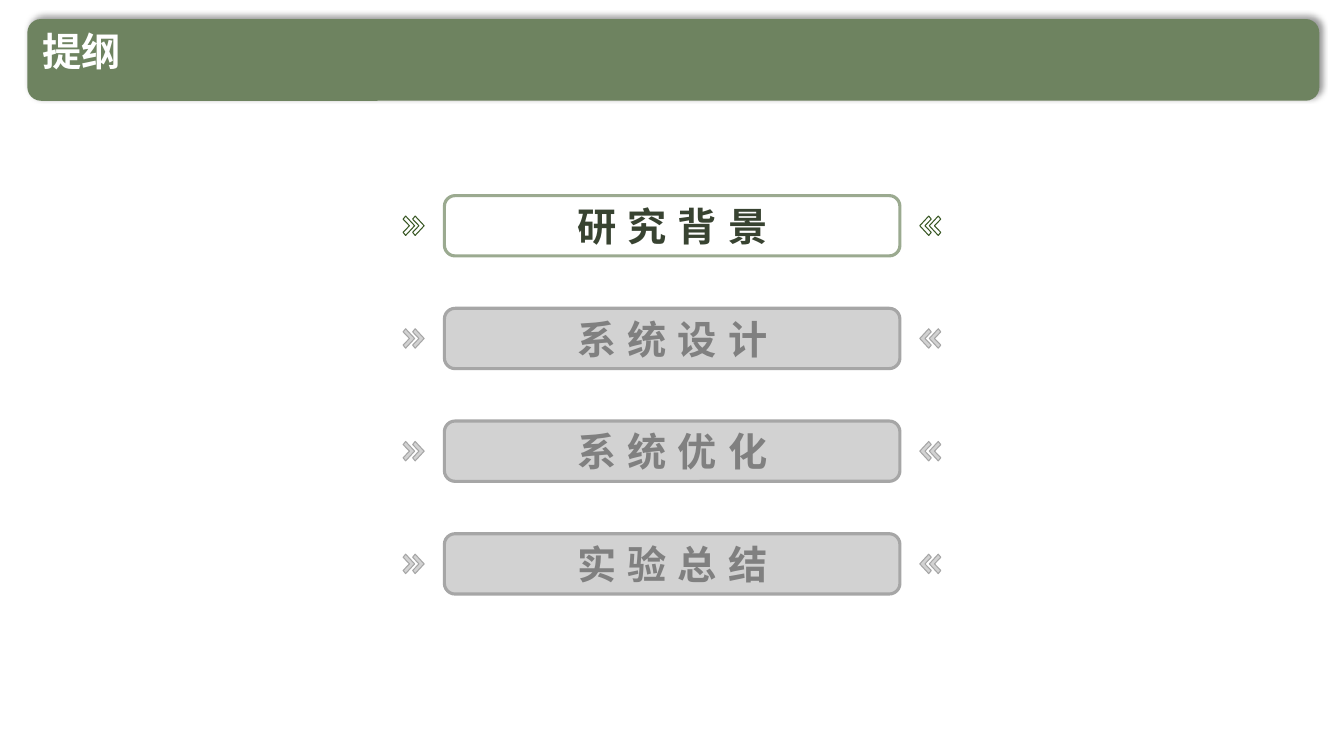
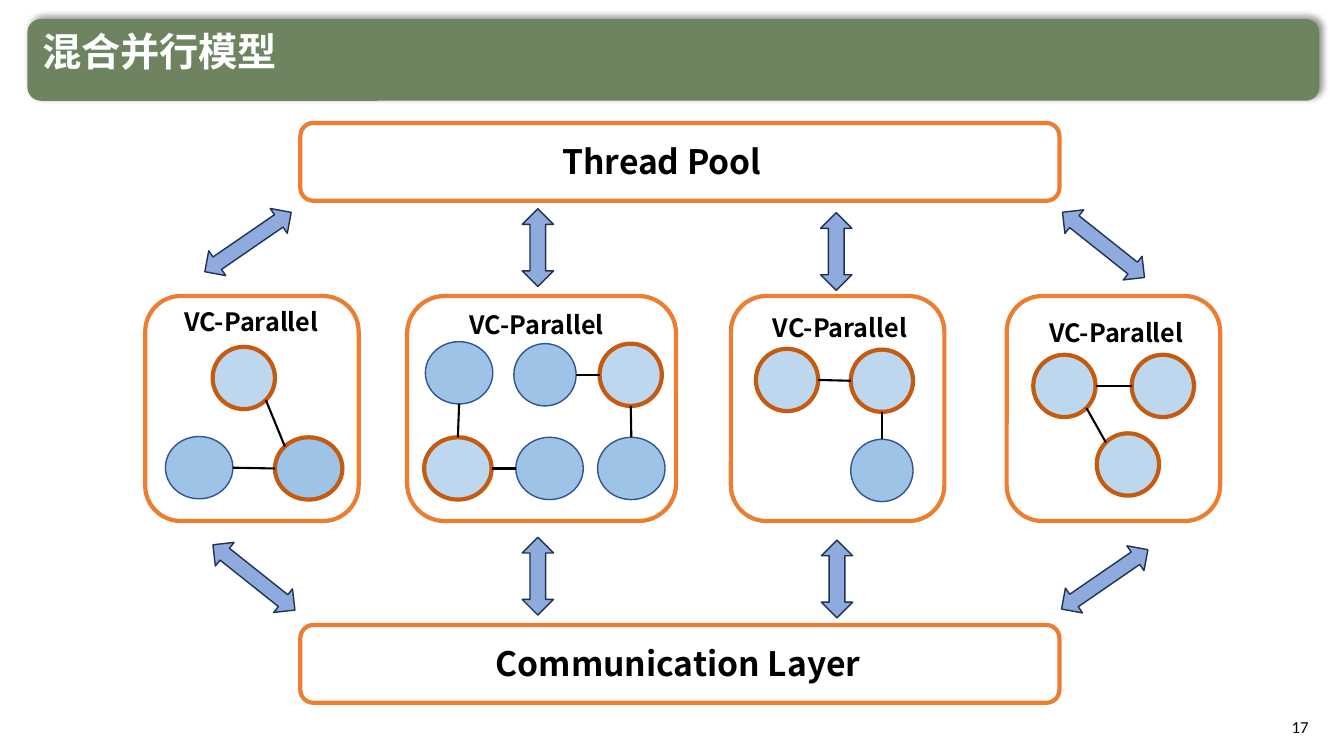
import math

import lxml.etree
import pptx
import pptx.dml.color
import pptx.enum.shapes
import pptx.enum.text
import pptx.oxml
import pptx.oxml.ns
import pptx.util

Cm = pptx.util.Cm
Pt = pptx.util.Pt
RGBColor = pptx.dml.color.RGBColor
SHAPE = pptx.enum.shapes.MSO_SHAPE
ALIGN = pptx.enum.text.PP_ALIGN
ANCHOR = pptx.enum.text.MSO_ANCHOR
qn = pptx.oxml.ns.qn

CJK_FONT = "Noto Sans CJK SC"
PAGE_FONT = "Calibri"

WHITE = RGBColor(0xFF, 0xFF, 0xFF)
BLACK = RGBColor(0, 0, 0)
BAND_GREEN = RGBColor(0x6E, 0x83, 0x60)
SOFT_GREEN = RGBColor(0x9B, 0xAA, 0x90)
DARK_GREEN = RGBColor(0x38, 0x43, 0x31)
CHEVRON_GREEN = RGBColor(0x38, 0x57, 0x23)
GREY = RGBColor(0xA6, 0xA6, 0xA6)
TEXT_GREY = RGBColor(0x80, 0x80, 0x80)
ORANGE = RGBColor(0xED, 0x7D, 0x31)
DARK_ORANGE = RGBColor(0xC5, 0x5A, 0x11)
PALE_BLUE = RGBColor(0xBD, 0xD7, 0xEE)
SKY_BLUE = RGBColor(0x9D, 0xC3, 0xE6)
NODE_EDGE = RGBColor(0x32, 0x54, 0x91)
ARROW_BLUE = RGBColor(0x8F, 0xAA, 0xDC)
ARROW_EDGE = RGBColor(0x1E, 0x32, 0x56)

SLIDE_W, SLIDE_H = 33.87, 19.05

# Outline slide (all lengths in centimetres)
OUTLINE_TITLE = "提纲"
SECTIONS = ["研究背景", "系统设计", "系统优化", "实验总结"]
CURRENT_SECTION = 0
SECTION_BOX = (11.2, 4.93, 11.48, 1.52)
SECTION_PITCH = 2.84
CHEVRON_W, CHEVRON_H = 0.29, 0.49
CHEVRON_LEFTS = (10.16, 10.4)
CHEVRON_OUTLINE = [(0.22, 0), (0, 0.16), (0.55, 0.5), (0, 0.84), (0.22, 1), (1, 0.5)]

# Model slide
MODEL_TITLE = "混合并行模型"
MODEL_PAGE = "17"
LAYER_LEFT, LAYER_W, LAYER_H = 7.57, 19.13, 1.96
LAYERS = [  # text, box top, text left, text width
    ("Thread Pool", 3.1, 13.92, 6.02),
    ("Communication Layer", 15.75, 12.24, 10.01),
]
PANEL_LABEL = "VC-Parallel"
PANEL_TOP, PANEL_H = 7.46, 5.67
NODE_H, WIDE = 1.57, 1.7
NODE_STYLES = {  # fill, line, line width
    "pale": (PALE_BLUE, DARK_ORANGE, 3),
    "plain": (SKY_BLUE, NODE_EDGE, 1),
    "marked": (SKY_BLUE, DARK_ORANGE, 3),
}
COMPASS = ["E", "SE", "S", "SW", "W", "NW", "N", "NE"]
PANELS = [  # nodes: left, top, width, style; edges: node, side, node, side
    {
        "left": 3.66, "width": 5.38, "label": (4.39, 7.59),
        "nodes": {
            "a": (5.36, 8.74, NODE_H, "pale"),
            "b": (4.17, 11.0, WIDE, "plain"),
            "c": (6.93, 11.02, WIDE, "marked"),
        },
        "edges": [("a", "SE", "c", "NW"), ("b", "E", "c", "W")],
    },
    {
        "left": 10.26, "width": 6.78, "label": (11.58, 7.67),
        "nodes": {
            "a": (10.72, 8.61, WIDE, "plain"),
            "b": (12.95, 8.66, NODE_H, "plain"),
            "c": (15.11, 8.66, NODE_H, "pale"),
            "d": (10.69, 11.02, WIDE, "pale"),
            "e": (13.0, 11.02, WIDE, "plain"),
            "f": (15.06, 11.02, WIDE, "plain"),
        },
        "edges": [("a", "S", "d", "N"), ("d", "E", "e", "W"),
                  ("b", "E", "c", "W"), ("c", "S", "f", "N")],
    },
    {
        "left": 18.42, "width": 5.38, "label": (19.23, 7.75),
        "nodes": {
            "a": (19.05, 8.79, NODE_H, "pale"),
            "b": (21.44, 8.81, NODE_H, "pale"),
            "c": (21.44, 11.07, NODE_H, "plain"),
        },
        "edges": [("a", "E", "b", "W"), ("b", "S", "c", "N")],
    },
    {
        "left": 25.37, "width": 5.38, "label": (26.19, 7.87),
        "nodes": {
            "a": (26.04, 8.94, NODE_H, "pale"),
            "b": (28.52, 8.94, NODE_H, "pale"),
            "c": (27.64, 10.92, NODE_H, "pale"),
        },
        "edges": [("a", "E", "b", "W"), ("a", "SE", "c", "NW")],
    },
]
UPRIGHT, SLANTED = (0.79, 1.96), (0.76, 2.64)
ARROWS = [  # left, top, size, rotation
    (5.87, 4.78, SLANTED, 55.5),
    (13.16, 5.26, UPRIGHT, 0),
    (20.68, 5.36, UPRIGHT, 0),
    (27.43, 4.85, SLANTED, 308.5),
    (6.02, 13.23, SLANTED, 308.5),
    (13.16, 13.54, UPRIGHT, 0),
    (20.7, 13.61, UPRIGHT, 0),
    (27.46, 13.28, SLANTED, 55.5),
]


def paint(shape, fill=None, line=None, width=1, alpha=None):
    """Set fill, outline and fill opacity (percent); None means no fill or line."""
    shape.shadow.inherit = False
    if fill is None:
        shape.fill.background()
    else:
        shape.fill.solid()
        shape.fill.fore_color.rgb = fill
        if alpha is not None:
            color = shape.fill._xPr.find(qn("a:solidFill"))[0]
            lxml.etree.SubElement(color, qn("a:alpha"), val=str(alpha * 1000))
    if line is None:
        shape.line.fill.background()
    else:
        shape.line.color.rgb = line
        shape.line.width = Pt(width)


def add_shape(slide, kind, box, **look):
    shape = slide.shapes.add_shape(kind, *map(Cm, box))
    paint(shape, **look)
    return shape


def write(shape, text, size=18, color=BLACK, bold=True, font=CJK_FONT,
          align=ALIGN.LEFT, anchor=ANCHOR.TOP, tracking=0, line_spacing=None):
    """Fill a shape with one paragraph; tracking is letter spacing in points."""
    frame = shape.text_frame
    frame.word_wrap = True
    frame.vertical_anchor = anchor
    paragraph = frame.paragraphs[0]
    paragraph.alignment = align
    if line_spacing:
        paragraph.line_spacing = line_spacing
    run = paragraph.add_run()
    run.text = text
    run.font.size = Pt(size)
    run.font.bold = bold
    run.font.color.rgb = color
    run.font.name = font
    properties = run._r.get_or_add_rPr()
    lxml.etree.SubElement(properties, qn("a:ea"), typeface=font)
    if tracking:
        properties.set("spc", str(tracking * 100))


def add_text(slide, box, text, **text_format):
    write(slide.shapes.add_textbox(*map(Cm, box)), text, **text_format)


def add_titled_slide(deck, title):
    slide = deck.slides.add_slide(deck.slide_layouts[6])
    band = add_shape(slide, SHAPE.ROUNDED_RECTANGLE, (0.69, 0.48, 32.56, 2.06),
                     fill=BAND_GREEN)
    effects = band._element.spPr.find(qn("a:effectLst"))
    shadow = lxml.etree.SubElement(
        effects, qn("a:outerShdw"), blurRad=str(Pt(4)), dist=str(Pt(3)),
        dir=str(315 * 60000), algn="bl", rotWithShape="0")
    color = lxml.etree.SubElement(shadow, qn("a:srgbClr"), val="000000")
    lxml.etree.SubElement(color, qn("a:alpha"), val="40000")
    add_text(slide, (0.81, 0.71, 28.12, 1.57), title, size=28, color=WHITE,
             line_spacing=0.9)
    return slide


def add_chevron(slide, left, top, mirrored, **look):
    """Draw a thin chevron; a mirrored one is reflected in the slide's centre line."""
    points = []
    for across, down in CHEVRON_OUTLINE:
        x = left + across * CHEVRON_W
        points.append((Cm(SLIDE_W - x if mirrored else x), Cm(top + down * CHEVRON_H)))
    builder = slide.shapes.build_freeform(*points[0])
    builder.add_line_segments(points[1:], close=True)
    paint(builder.convert_to_shape(), **look)


def add_section(slide, text, row, current):
    left, first_top, width, height = SECTION_BOX
    top = first_top + row * SECTION_PITCH
    fill = None if current else GREY
    for chevron_left in CHEVRON_LEFTS:
        for mirrored in (False, True):
            add_chevron(slide, chevron_left, top + (height - CHEVRON_H) / 2, mirrored,
                        fill=fill, alpha=50, width=0.75,
                        line=CHEVRON_GREEN if current else GREY)
    box = add_shape(slide, SHAPE.ROUNDED_RECTANGLE, (left, top, width, height),
                    fill=fill, alpha=50, width=2.25,
                    line=SOFT_GREEN if current else GREY)
    box.adjustments[0] = 0.177
    write(box, text, size=28, color=DARK_GREEN if current else TEXT_GREY,
          align=ALIGN.CENTER, anchor=ANCHOR.MIDDLE, tracking=8)


def rim_point(node, side):
    """Return the point of a node's ellipse that faces a compass side."""
    left, top, width, _ = node
    angle = COMPASS.index(side) * math.pi / 4
    return (Cm(left + width / 2 * (1 + math.cos(angle))),
            Cm(top + NODE_H / 2 * (1 + math.sin(angle))))


def add_edge(slide, start, end):
    edge = slide.shapes.add_connector(
        pptx.enum.shapes.MSO_CONNECTOR.STRAIGHT, *start, *end)
    edge.line.color.rgb = BLACK
    edge.line.width = Pt(1.5)
    lxml.etree.SubElement(edge._element.spPr, qn("a:effectLst"))


def add_panel(slide, panel):
    add_shape(slide, SHAPE.ROUNDED_RECTANGLE,
              (panel["left"], PANEL_TOP, panel["width"], PANEL_H), line=ORANGE, width=3)
    add_text(slide, (*panel["label"], 4.62, 1.02), PANEL_LABEL)
    nodes = panel["nodes"]
    for left, top, width, style in nodes.values():
        fill, line, line_width = NODE_STYLES[style]
        add_shape(slide, SHAPE.OVAL, (left, top, width, NODE_H),
                  fill=fill, line=line, width=line_width)
    for start, start_side, end, end_side in panel["edges"]:
        add_edge(slide, rim_point(nodes[start], start_side),
                 rim_point(nodes[end], end_side))


def build_outline(deck):
    slide = add_titled_slide(deck, OUTLINE_TITLE)
    for row, text in enumerate(SECTIONS):
        add_section(slide, text, row, current=row == CURRENT_SECTION)


def build_model(deck):
    slide = add_titled_slide(deck, MODEL_TITLE)
    add_text(slide, (31.22, 17.81, 2.01, 1.02), MODEL_PAGE, size=12, bold=False,
             font=PAGE_FONT, align=ALIGN.RIGHT, anchor=ANCHOR.MIDDLE)
    for panel in PANELS:
        add_panel(slide, panel)
    for text, top, text_left, text_width in LAYERS:
        add_shape(slide, SHAPE.ROUNDED_RECTANGLE, (LAYER_LEFT, top, LAYER_W, LAYER_H),
                  line=ORANGE, width=3)
        add_text(slide, (text_left, top + 0.33, text_width, 1.27), text, size=24)
    for left, top, size, rotation in ARROWS:
        arrow = add_shape(slide, SHAPE.UP_DOWN_ARROW, (left, top, *size),
                          fill=ARROW_BLUE, line=ARROW_EDGE)
        arrow.rotation = rotation


def main():
    deck = pptx.Presentation()
    deck.slide_width, deck.slide_height = Cm(SLIDE_W), Cm(SLIDE_H)
    build_outline(deck)
    build_model(deck)
    deck.save("out.pptx")


if __name__ == "__main__":
    main()
